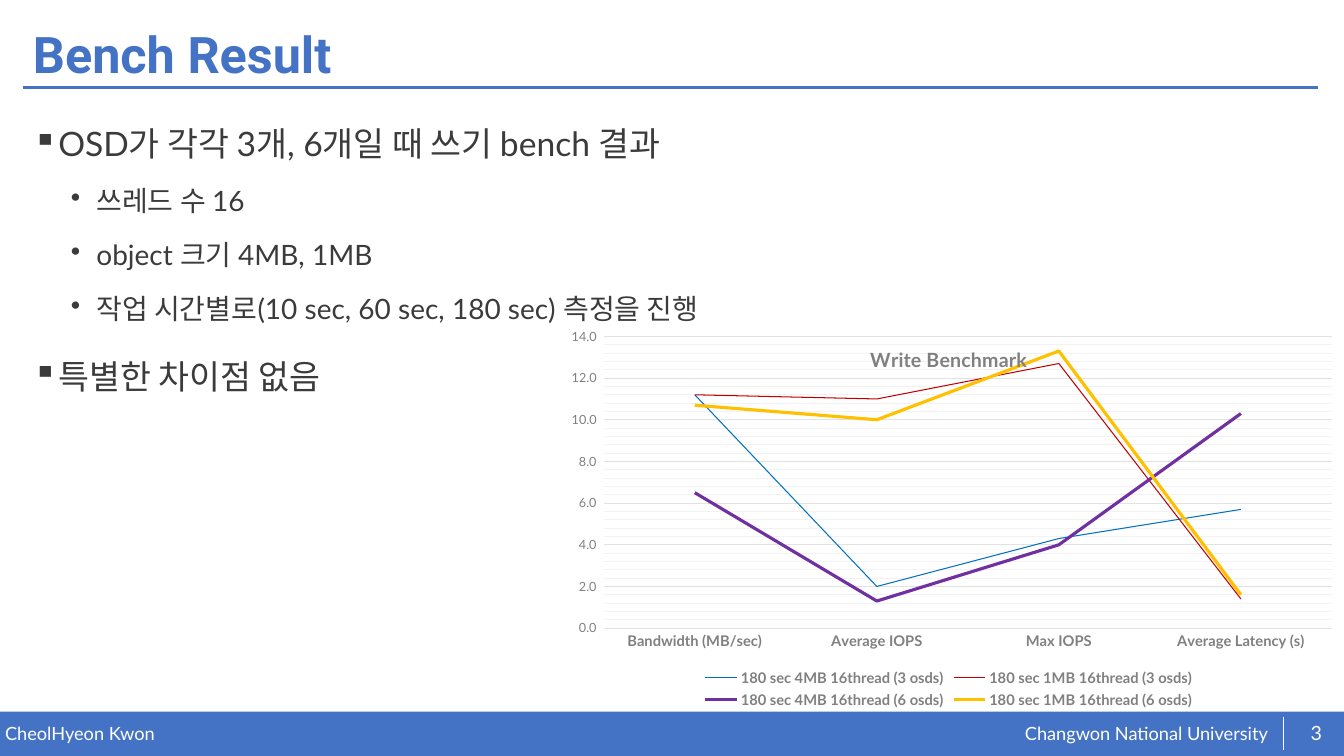
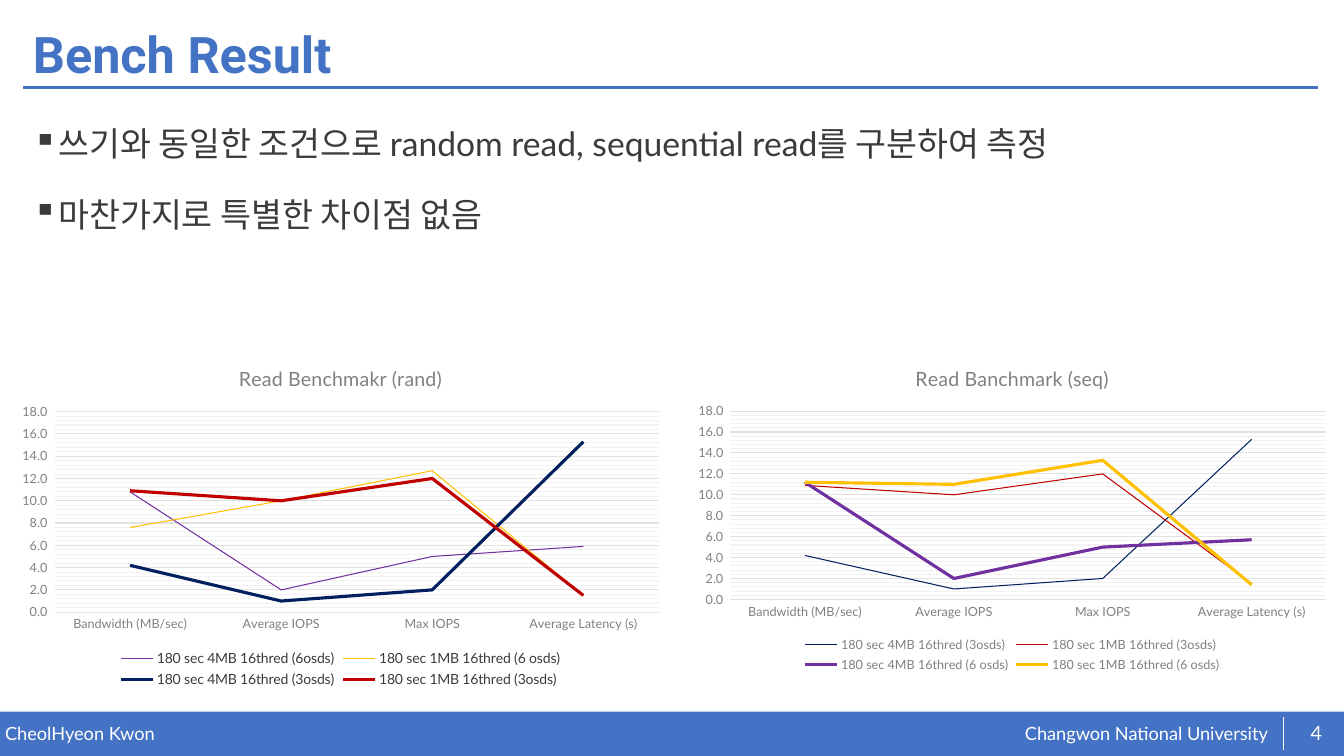
"""Build two benchmark result slides with line charts."""
from copy import deepcopy
from dataclasses import dataclass

from lxml import etree
from pptx import Presentation
from pptx.chart.data import CategoryChartData
from pptx.dml.color import RGBColor
from pptx.enum.chart import XL_CHART_TYPE, XL_LEGEND_POSITION, XL_TICK_MARK
from pptx.enum.shapes import MSO_CONNECTOR, MSO_SHAPE
from pptx.enum.text import MSO_ANCHOR, PP_ALIGN
from pptx.oxml.ns import qn
from pptx.util import Cm, Pt

LINE_CHART = XL_CHART_TYPE.LINE
LEGEND_BOTTOM = XL_LEGEND_POSITION.BOTTOM
NO_TICK = XL_TICK_MARK.NONE
STRAIGHT = MSO_CONNECTOR.STRAIGHT
RECTANGLE = MSO_SHAPE.RECTANGLE
TOP, MIDDLE = MSO_ANCHOR.TOP, MSO_ANCHOR.MIDDLE
LEFT, CENTER = PP_ALIGN.LEFT, PP_ALIGN.CENTER


@dataclass(frozen=True)
class Theme:
    """Fonts, colours and type sizes of the deck."""
    heading_font: str = "Roboto"
    body_font: str = "Lato"
    accent: str = "4472C4"
    white: str = "FFFFFF"
    ink: str = "3B3B3B"
    muted: str = "808080"
    grid: str = "E2E2E2"
    minor_grid: str = "F2F2F2"
    blue: str = "0070C0"
    red: str = "C00000"
    purple: str = "7030A0"
    gold: str = "FFC000"
    navy: str = "002060"
    title_size: float = 36
    bullet_sizes: tuple = (24, 20)
    footer_size: float = 13
    number_size: float = 14
    chart_title_size: float = 14
    chart_size: float = 10
    label_size: float = 9
    strong_label_size: float = 10.5
    thin: float = 0.75
    thick: float = 2.25


THEME = Theme()
AUTHOR = "CheolHyeon Kwon"
SCHOOL = "Changwon National University"
TITLE = "Bench Result"
CATEGORIES = ["Bandwidth (MB/sec)", "Average IOPS", "Max IOPS", "Average Latency (s)"]
VALUE_FORMAT = r"0.0_);[Red]\(0.0\)"
BULLETS = (("▪", 0.64, 10), ("•", 1.6, 5))
HANGING = 0.64


def style_font(font, size, color, bold=False, name=THEME.body_font):
    """Set the typeface, size, colour and weight of a font."""
    font.name, font.size, font.bold = name, Pt(size), bold
    font.color.rgb = RGBColor.from_string(color)


def style_line(line, color, width):
    """Set the colour and width of a line."""
    line.color.rgb = RGBColor.from_string(color)
    line.width = Pt(width)


def write_text(para, text, align=LEFT, spacing=None, **font_style):
    """Write one formatted span into a paragraph."""
    para.alignment = align
    if spacing:
        para.line_spacing = spacing
    span = para.add_run()
    span.text = text
    style_font(span.font, **font_style)


class SlideBuilder:
    """Holds the deck, its theme and the current page."""

    def __init__(self, theme):
        """Start an empty widescreen deck."""
        self.theme = theme
        self.deck = Presentation()
        self.deck.slide_width, self.deck.slide_height = Cm(33.87), Cm(19.05)
        self.page = None

    def add_page(self, title, number):
        """Add a page with its title, rule and footer."""
        theme = self.theme
        self.page = self.deck.slides.add_slide(self.deck.slide_layouts[6])
        self.add_band(0, 17.93, 33.87, 1.12)
        footer = {"size": theme.footer_size, "color": theme.white}
        self.add_label(SCHOOL, (25.83, 18.19, 6.8, 0.58), **footer)
        self.add_label(AUTHOR, (0.13, 18.21, 16.6, 0.58), **footer)
        self.add_rule((0.58, 2.21, 33.22, 2.21), theme.accent, 2)
        self.add_rule((32.33, 18.06, 32.33, 18.9), theme.white, 0.5)
        self.add_label(title, (0.58, 0.46, 32.66, 1.96), inset=(0.25, 0.13), anchor=MIDDLE,
                       spacing=0.9, size=theme.title_size, color=theme.accent,
                       bold=True, name=theme.heading_font)
        self.add_label(str(number), (32.56, 17.96, 1.22, 1.02), anchor=MIDDLE,
                       align=CENTER, size=theme.number_size, color=theme.white)

    def add_band(self, *place):
        """Add a plain accent rectangle."""
        band = self.page.shapes.add_shape(RECTANGLE, *map(Cm, place))
        band.shadow.inherit = False
        band.fill.solid()
        band.fill.fore_color.rgb = RGBColor.from_string(self.theme.accent)
        band.line.fill.background()

    def add_rule(self, ends, color, width):
        """Add a straight line without shadow."""
        rule = self.page.shapes.add_connector(STRAIGHT, *map(Cm, ends))
        style_line(rule.line, color, width)
        etree.SubElement(rule._element.spPr, qn("a:effectLst"))

    def add_frame(self, place, inset=(0, 0), anchor=TOP):
        """Add a wrapping text box and return its text frame."""
        frame = self.page.shapes.add_textbox(*map(Cm, place)).text_frame
        frame.word_wrap = True
        frame.vertical_anchor = anchor
        frame.margin_left = frame.margin_right = Cm(inset[0])
        frame.margin_top = frame.margin_bottom = Cm(inset[1])
        return frame

    def add_label(self, text, place, inset=(0, 0), anchor=TOP, **style):
        """Add a text box with a single paragraph."""
        write_text(self.add_frame(place, inset, anchor).paragraphs[0], text, **style)

    def add_bullets(self, items):
        """Add the body list from pairs of level and text."""
        frame = self.add_frame((0.58, 2.57, 32.66, 14.3), inset=(0.25, 0.13))
        for index, (level, text) in enumerate(items):
            para = frame.add_paragraph() if index else frame.paragraphs[0]
            symbol, indent, space = BULLETS[level]
            para.level = level
            para.space_before = Pt(space)
            write_text(para, text, spacing=1.4, color=self.theme.ink,
                       size=self.theme.bullet_sizes[level])
            properties = para._p.get_or_add_pPr()
            properties.set("marL", str(Cm(indent)))
            properties.set("indent", str(-Cm(HANGING)))
            etree.SubElement(properties, qn("a:buChar"), char=symbol)

    def add_line_chart(self, title, place, series, top_value, legend_size,
                       legend_color=THEME.muted, bold=False, plot_area=None):
        """Add a line chart whose last two series are thick."""
        theme = self.theme
        data = CategoryChartData(number_format="0.0")
        data.categories = CATEGORIES
        for name, _, values in series:
            data.add_series(name, values)
        chart = self.page.shapes.add_chart(LINE_CHART, *map(Cm, place), data).chart
        style_font(chart.font, theme.chart_size, theme.ink)
        write_text(chart.chart_title.text_frame.paragraphs[0], title, align=CENTER,
                   size=theme.chart_title_size, color=theme.muted, bold=bold)
        chart.has_legend = True
        chart.legend.position = LEGEND_BOTTOM
        chart.legend.include_in_layout = False
        style_font(chart.legend.font, legend_size, legend_color, bold)
        self.style_axes(chart, top_value, bold)
        chart.plots[0].vary_by_categories = False
        for index, (line, (_, color, _)) in enumerate(zip(chart.plots[0].series, series)):
            line.smooth = False
            style_line(line.format.line, color, theme.thick if index > 1 else theme.thin)
        if plot_area:
            self.place_plot(chart, plot_area)

    def style_axes(self, chart, top_value, bold):
        """Format both axes and the grid of a chart."""
        theme = self.theme
        category, value = chart.category_axis, chart.value_axis
        for axis in (category, value):
            axis.major_tick_mark = axis.minor_tick_mark = NO_TICK
        style_font(category.tick_labels.font,
                   theme.strong_label_size if bold else theme.label_size, theme.muted, bold)
        style_font(value.tick_labels.font, theme.label_size, theme.muted)
        style_line(category.format.line, theme.grid, theme.thin)
        value.format.line.fill.background()
        value.minimum_scale, value.maximum_scale = 0, top_value
        value.major_unit, value.minor_unit = 2, 0.4
        value.tick_labels.number_format = VALUE_FORMAT
        value.tick_labels.number_format_is_linked = False
        value.has_major_gridlines = value.has_minor_gridlines = True
        style_line(value.major_gridlines.format.line, theme.grid, theme.thin)
        major, minor = (value._element.find(qn(f"c:{kind}Gridlines"))
                        for kind in ("major", "minor"))
        minor.append(deepcopy(major.find(qn("c:spPr"))))
        for color in minor.iter(qn("a:srgbClr")):
            color.set("val", theme.minor_grid)

    def place_plot(self, chart, plot_area):
        """Fix the inner plot area as fractions of the chart."""
        plot = chart._chartSpace.chart.plotArea
        layout = plot.find(qn("c:layout"))
        if layout is None:
            layout = etree.Element(qn("c:layout"))
            plot.insert(0, layout)
        manual = etree.SubElement(layout, qn("c:manualLayout"))
        settings = [("layoutTarget", "inner"), ("xMode", "edge"), ("yMode", "edge"),
                    *zip("xywh", plot_area)]
        for tag, setting in settings:
            etree.SubElement(manual, qn(f"c:{tag}"), val=str(setting))


def main():
    """Build and save the deck."""
    builder = SlideBuilder(THEME)

    builder.add_page(TITLE, 3)
    builder.add_bullets([
        (0, "OSD가 각각 3개, 6개일 때 쓰기 bench 결과"),
        (1, "쓰레드 수 16"),
        (1, "object 크기 4MB, 1MB"),
        (1, "작업 시간별로(10 sec, 60 sec, 180 sec) 측정을 진행"),
        (0, "특별한 차이점 없음"),
    ])
    builder.add_line_chart("Write Benchmark", (14.25, 8.28, 19.33, 9.68), [
        ("180 sec 4MB 16thread (3 osds)", THEME.blue, (11.2, 2, 4.3, 5.7)),
        ("180 sec 1MB 16thread (3 osds)", THEME.red, (11.2, 11, 12.7, 1.4)),
        ("180 sec 4MB 16thread (6 osds)", THEME.purple, (6.5, 1.3, 4, 10.3)),
        ("180 sec 1MB 16thread (6 osds)", THEME.gold, (10.7, 10, 13.3, 1.6)),
    ], 14, THEME.strong_label_size, bold=True, plot_area=(0.05, 0.02, 0.95, 0.76))

    builder.add_page(TITLE, 4)
    builder.add_bullets([
        (0, "쓰기와 동일한 조건으로 random read, sequential read를 구분하여 측정"),
        (0, "마찬가지로 특별한 차이점 없음"),
    ])
    builder.add_line_chart("Read Benchmakr (rand)", (0.23, 8.79, 16.71, 8.64), [
        ("180 sec 4MB 16thred (6osds)", THEME.purple, (10.8, 2, 5, 5.9)),
        ("180 sec 1MB 16thred (6 osds)", THEME.gold, (7.6, 10, 12.7, 1.5)),
        ("180 sec 4MB 16thred (3osds)", THEME.navy, (4.2, 1, 2, 15.3)),
        ("180 sec 1MB 16thred (3osds)", THEME.red, (10.9, 10, 12, 1.5)),
    ], 18, THEME.chart_size, legend_color=THEME.ink)
    builder.add_line_chart("Read Banchmark (seq)", (17.27, 8.79, 16.48, 8.26), [
        ("180 sec 4MB 16thred (3osds)", THEME.navy, (4.2, 1, 2, 15.3)),
        ("180 sec 1MB 16thred (3osds)", THEME.red, (10.9, 10, 12, 1.5)),
        ("180 sec 4MB 16thred (6 osds)", THEME.purple, (11.2, 2, 5, 5.7)),
        ("180 sec 1MB 16thred (6 osds)", THEME.gold, (11.2, 11, 13.3, 1.4)),
    ], 18, THEME.label_size)

    builder.deck.save("out.pptx")


if __name__ == "__main__":
    main()
